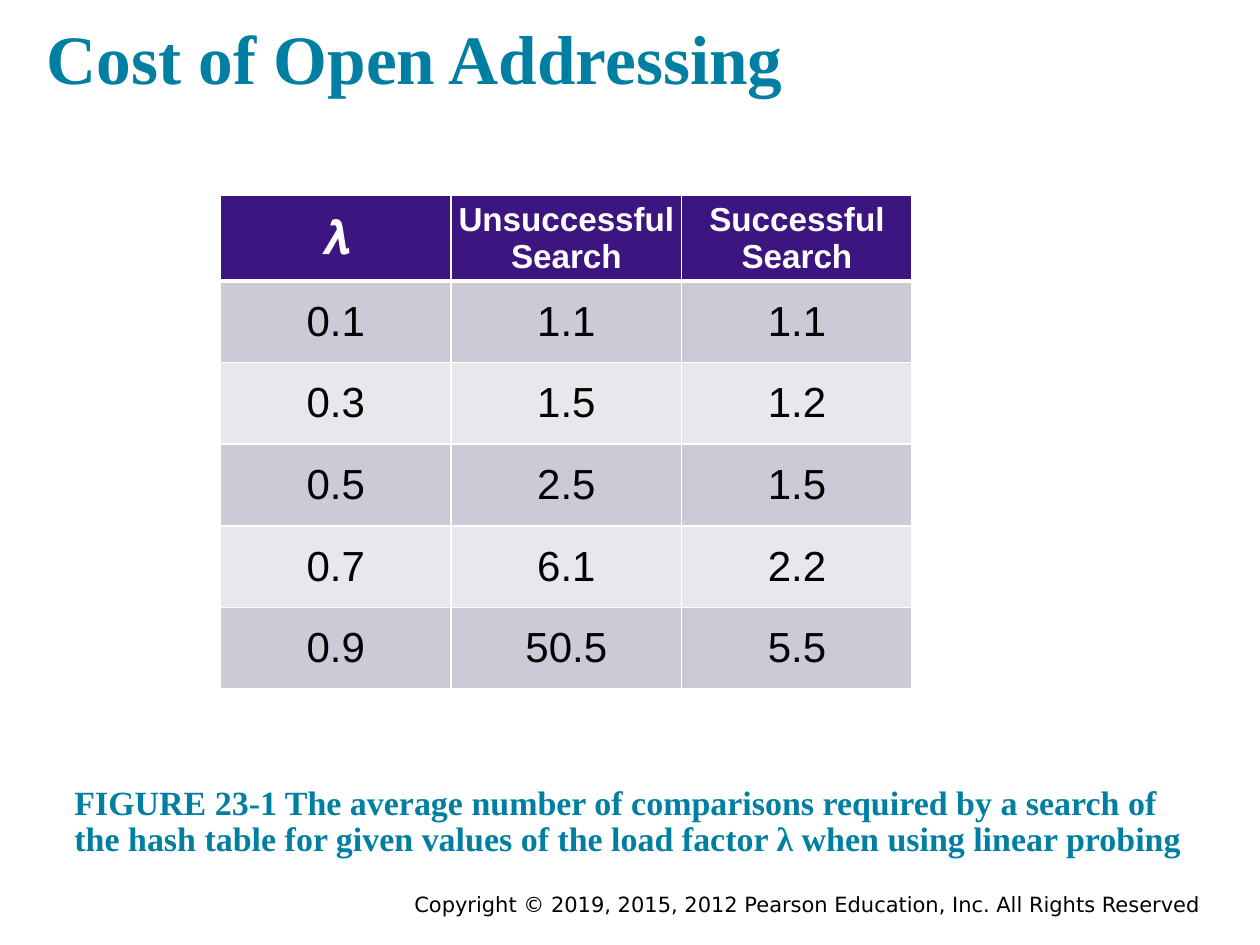
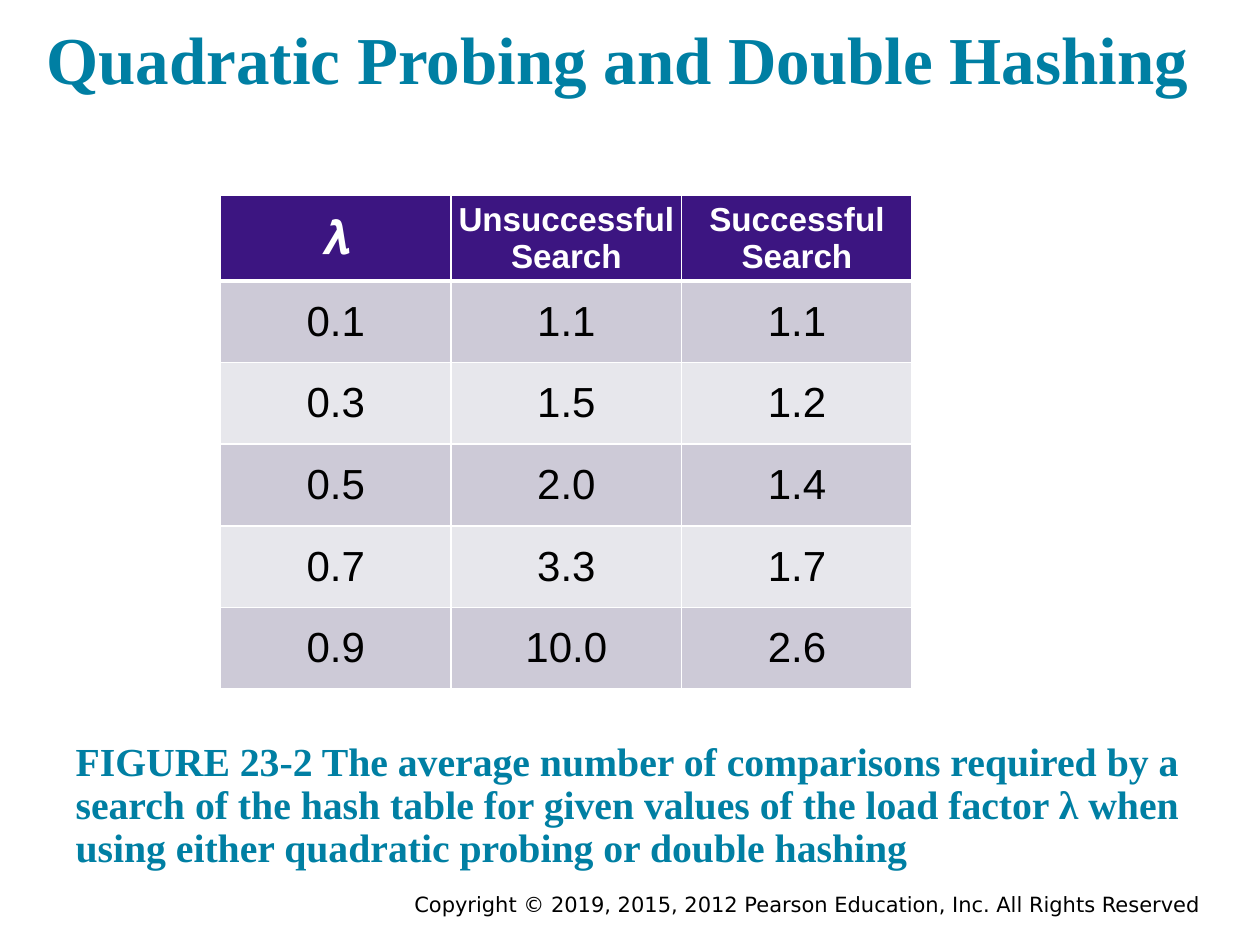
import pptx
import pptx.util
import pptx.dml.color
import pptx.enum.text
import pptx.oxml.ns
import lxml.etree

# Page grid: 100 columns by 75 rows of square units
UNIT = pptx.util.Inches(0.1)
COLS, ROWS = 100, 75

# Shared look
TEAL, PURPLE, DARK, LIGHT = "007FA3", "3C1581", "CDCAD7", "E7E7EC"
WHITE, BLACK = "FFFFFF", "000000"
SERIF = {"name": "Times New Roman", "bold": True}
HEAD = {"name": "Arial", "bold": True}
BODY = {"name": "Arial", "bold": False, "size": 24}
FOOT = {"name": "DejaVu Sans", "bold": False, "size": 12}
ALIGN = pptx.enum.text.PP_ALIGN
ANCHOR = pptx.enum.text.MSO_ANCHOR
SIZING = pptx.enum.text.MSO_AUTO_SIZE

COPY = "Copyright © 2019, 2015, 2012 Pearson Education, Inc. All Rights Reserved"
HEADERS = ("𝝀", "Unsuccessful Search", "Successful Search")
LOADS = ("0.1", "0.3", "0.5", "0.7", "0.9")


def units(*counts):
    return [round(n * UNIT) for n in counts]


def color(code):
    return pptx.dml.color.RGBColor.from_string(code)


def place(shape, spot):
    for side, size in zip(("left", "top", "width", "height"), units(*spot)):
        setattr(shape, side, size)


def pad(item, gap):
    for side in ("left", "top", "right", "bottom"):
        setattr(item, "margin_" + side, round(gap * UNIT))


def write(frame, text, style, tint, align):
    """Fill a text frame with one formatted paragraph."""
    para = frame.paragraphs[0]
    para.alignment = align
    para.space_before = pptx.util.Pt(0)
    para.add_run().text = text
    font = para.runs[0].font
    for key, value in style.items():
        setattr(font, key, pptx.util.Pt(value) if key == "size" else value)
    font.color.rgb = color(tint)
    return para


def fill_holder(shape, spot, text, size):
    """Place a title or body placeholder with teal serif text."""
    place(shape, spot)
    frame = shape.text_frame
    pad(frame, 1)
    frame.word_wrap = True
    frame.auto_size = SIZING.NONE
    frame.vertical_anchor = ANCHOR.BOTTOM
    return write(frame, text, SERIF | {"size": size}, TEAL, ALIGN.LEFT)


def add_caption(slide, spot, text, size):
    para = fill_holder(slide.placeholders[1], spot, text, size)
    para.line_spacing = 0.9
    props = para._p.get_or_add_pPr()
    props.set("marL", "0")
    props.set("indent", "0")
    lxml.etree.SubElement(props, pptx.oxml.ns.qn("a:buNone"))


def add_footer(slide):
    box = slide.shapes.add_textbox(*units(17.5, 70.3, 78.3, 3.1))
    frame = box.text_frame
    pad(frame, 0.5)
    frame.word_wrap = True
    write(frame, COPY, FOOT, BLACK, ALIGN.RIGHT)


def add_border(cell, side, width):
    props = cell._tc.get_or_add_tcPr()
    line = lxml.etree.SubElement(props, pptx.oxml.ns.qn("a:ln" + side),
                                 w=str(pptx.util.Pt(width)))
    solid = lxml.etree.SubElement(line, pptx.oxml.ns.qn("a:solidFill"))
    lxml.etree.SubElement(solid, pptx.oxml.ns.qn("a:srgbClr"), val=WHITE)


def set_cell(cell, row, col, text):
    # Thick rule between the header and the first data row
    thick = {(0, "B"), (1, "T")}
    for side in "LRTB":
        add_border(cell, side, 3 if (row, side) in thick else 1)
    cell.fill.solid()
    pad(cell, 0)
    cell.vertical_anchor = ANCHOR.MIDDLE
    if row == 0:
        back, tint = PURPLE, WHITE
        style = HEAD | {"size": 19 if col else 27}
    else:
        back, tint, style = DARK if row % 2 else LIGHT, BLACK, BODY
    cell.fill.fore_color.rgb = color(back)
    write(cell.text_frame, text, style, tint, ALIGN.CENTER)


def add_costs(slide, misses, hits):
    """Table of search costs for each load factor."""
    data = [HEADERS, *zip(LOADS, misses, hits)]
    frame = slide.shapes.add_table(len(data), len(HEADERS),
                                   *units(17.5, 15.5, 54.9, 39.2))
    table = frame.table
    table.horz_banding = False
    for col in table.columns:
        col.width = round(18.3 * UNIT)
    for r, (line, texts) in enumerate(zip(table.rows, data)):
        line.height = round((6.48 if r else 6.8) * UNIT)
        for c, text in enumerate(texts):
            set_cell(table.cell(r, c), r, c, text)


def add_page(deck, title, size):
    slide = deck.slides.add_slide(deck.slide_layouts[1])
    add_footer(slide)
    fill_holder(slide.shapes.title, (2.7, 0, 93.1, 8.8), title, size)
    return slide


def main():
    deck = pptx.Presentation()
    deck.slide_width, deck.slide_height = units(COLS, ROWS)

    # Linear probing
    slide = add_page(deck, "Cost of Open Addressing", 39.6)
    add_caption(slide, (4.9, 58.1, 90, 11.1),
                "FIGURE 23-1 The average number of comparisons required by a "
                "search of the hash table for given values of the load factor "
                "λ when using linear probing", 19.4)
    add_costs(slide, ("1.1", "1.5", "2.5", "6.1", "50.5"),
              ("1.1", "1.2", "1.5", "2.2", "5.5"))

    # Quadratic probing and double hashing
    slide = add_page(deck, "Quadratic Probing and Double Hashing", 38.3)
    add_caption(slide, (5, 57, 90, 13.1),
                "FIGURE 23-2 The average number of comparisons required by a "
                "search of the hash table for given values of the load factor "
                "λ when using either quadratic probing or double hashing", 22.7)
    add_costs(slide, ("1.1", "1.5", "2.0", "3.3", "10.0"),
              ("1.1", "1.2", "1.4", "1.7", "2.6"))

    deck.save("out.pptx")


if __name__ == "__main__":
    main()
